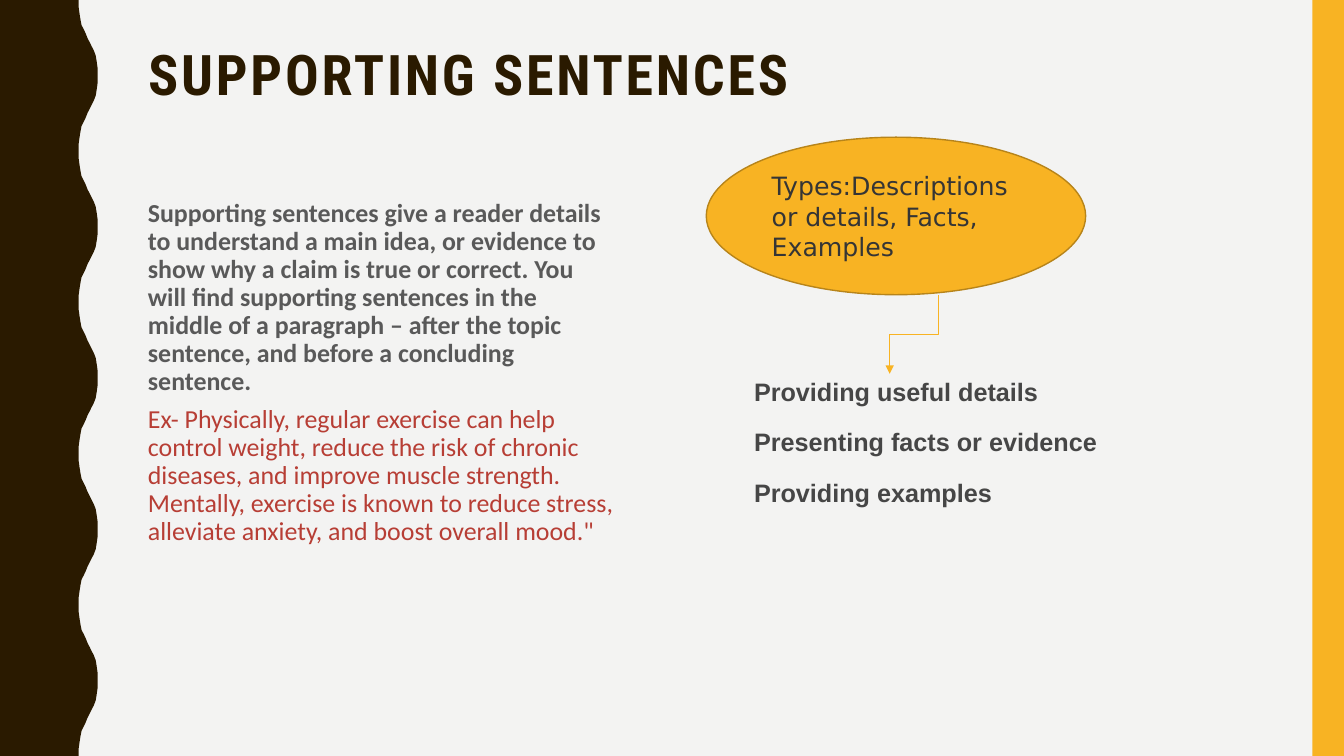
import pptx
import pptx.dml.color
import pptx.enum.shapes
import pptx.enum.text
import pptx.oxml
import pptx.oxml.ns
import pptx.util

Pt = pptx.util.Pt
SHAPES = pptx.enum.shapes.MSO_SHAPE
ANCHOR = pptx.enum.text.MSO_ANCHOR
LEFT = pptx.enum.text.PP_ALIGN.LEFT
WIDTH, HEIGHT = 960, 540
GOLD, BROWN = "F8B323", "2A1A00"
WAVE_PERIOD = 108
HALF_WAVE = [
    (56.2, 0), (56.2, 5), (56.9, 10), (57.6, 14.4), (58.3, 18),
    (59.8, 20.9), (61.2, 23.8), (62.6, 27.4), (64.1, 30.2), (65.5, 33.1),
    (67, 36), (68.4, 39.6), (69.1, 43.9), (69.8, 49), (69.8, 54),
]
EXPLANATION = (
    "Supporting sentences give a reader details to understand a main idea, "
    "or evidence to show why a claim is true or correct. You will find "
    "supporting sentences in the middle of a paragraph – after the topic "
    "sentence, and before a concluding sentence."
)
EXAMPLE = (
    "Ex- Physically, regular exercise can help control weight, reduce the risk "
    "of chronic diseases, and improve muscle strength. Mentally, exercise is "
    "known to reduce stress, alleviate anxiety, and boost overall mood.\""
)
PURPOSES = [
    ("Providing useful details", 262),
    ("Presenting facts or evidence", 262),
    ("Providing examples", 187),
]


def color(value):
    """Return the colour for a hex string."""
    return pptx.dml.color.RGBColor.from_string(value)


def paint(shape, fill, line=None):
    """Give a shape a flat fill and an optional outline."""
    shape.shadow.inherit = False
    shape.fill.solid()
    shape.fill.fore_color.rgb = color(fill)
    if line:
        shape.line.color.rgb = color(line)
        shape.line.width = Pt(1)
    else:
        shape.line.fill.background()


def add_span(para, text, font, size, ink, bold=False):
    """Add one formatted run to a left-aligned paragraph."""
    para.alignment = LEFT
    span = para.add_run()
    span.text = text
    span.font.name = font
    span.font.size = Pt(size)
    span.font.bold = bold
    span.font.color.rgb = color(ink)
    return span


def add_text_box(page, left, top, width, height):
    """Add a wrapping text box and return its text frame."""
    box = page.shapes.add_textbox(Pt(left), Pt(top), Pt(width), Pt(height))
    box.text_frame.word_wrap = True
    return box.text_frame


def add_wavy_edge(page, left, top, height):
    """Draw the dark band whose right side repeats one wave."""
    mirrored = [(x, WAVE_PERIOD - y) for x, y in reversed(HALF_WAVE[1:-1])]
    wave = HALF_WAVE + mirrored
    points = [
        (left + x, top + start + y)
        for start in range(0, height, WAVE_PERIOD)
        for x, y in wave
    ]
    points += [(left + HALF_WAVE[0][0], top + height), (left, top + height)]
    builder = page.shapes.build_freeform(Pt(left), Pt(top), scale=1.0)
    builder.add_line_segments([(Pt(x), Pt(y)) for x, y in points], close=True)
    paint(builder.convert_to_shape(), BROWN)


def add_side_bar(page, left, top, width, height):
    """Draw the gold bar on the right."""
    bar = page.shapes.add_shape(
        SHAPES.RECTANGLE, Pt(left), Pt(top), Pt(width), Pt(height))
    paint(bar, GOLD)


def add_title(page, left, top, width, height):
    """Place and format the title placeholder."""
    title = page.shapes.title
    title.left, title.top = Pt(left), Pt(top)
    title.width, title.height = Pt(width), Pt(height)
    frame = title.text_frame
    frame.word_wrap = True
    frame.auto_size = pptx.enum.text.MSO_AUTO_SIZE.NONE
    frame.vertical_anchor = ANCHOR.TOP
    para = frame.paragraphs[0]
    para.line_spacing = 0.9
    span = add_span(
        para, "SUPPORTING SENTENCES", "Roboto Condensed", 40, BROWN, True)
    span.font._element.set("spc", "200")


def add_body(page, left, top, width, height):
    """Write the explanation and its example."""
    frame = add_text_box(page, left, top, width, height)
    explanation = frame.paragraphs[0]
    example = frame.add_paragraph()
    example.space_before = Pt(7)
    for para, text, ink, bold in (
            (explanation, EXPLANATION, "595959", True),
            (example, EXAMPLE, "B73E35", False)):
        para.line_spacing = 0.9
        add_span(para, text, "Calibri", 18.5, ink, bold)


def add_arrow(page, left, top, width, height):
    """Draw the elbow arrow that runs down and to the left."""
    middle_x, middle_y = left + width / 2, top + height / 2
    arrow = page.shapes.add_connector(
        pptx.enum.shapes.MSO_CONNECTOR.ELBOW,
        Pt(middle_x - height / 2), Pt(middle_y - width / 2),
        Pt(middle_x + height / 2), Pt(middle_y + width / 2))
    arrow.line.color.rgb = color(GOLD)
    arrow.line.width = Pt(0.5)
    properties = arrow._element.spPr
    properties.find(pptx.oxml.ns.qn("a:xfrm")).set("rot", "5400000")
    namespace = pptx.oxml.ns.nsdecls("a")
    line = properties.find(pptx.oxml.ns.qn("a:ln"))
    line.append(pptx.oxml.parse_xml(f'<a:tailEnd {namespace} type="triangle"/>'))
    properties.append(pptx.oxml.parse_xml(f"<a:effectLst {namespace}/>"))


def add_types(page, left, top):
    """Draw the oval of types, its arrow and the list of purposes."""
    oval = page.shapes.add_shape(
        SHAPES.OVAL, Pt(left), Pt(top), Pt(271), Pt(112.5))
    paint(oval, GOLD, "B7841A")
    frame = oval.text_frame
    frame.word_wrap = True
    frame.vertical_anchor = ANCHOR.MIDDLE
    add_span(frame.paragraphs[0], "Types:Descriptions or details, Facts, Examples",
             "DejaVu Sans", 18, "353535")
    for row, (text, width) in enumerate(PURPOSES):
        purpose = add_text_box(page, left + 27, top + 167 + 36.2 * row, width, 29)
        add_span(purpose.paragraphs[0], text, "Arial", 18, "464646", True)
    add_arrow(page, left + 131, top + 113, 34.5, 56)


def main():
    """Build and save the slide."""
    deck = pptx.Presentation()
    deck.slide_width, deck.slide_height = Pt(WIDTH), Pt(HEIGHT)
    page = deck.slides.add_slide(deck.slide_layouts.get_by_name("Title Only"))
    page.background.fill.solid()
    page.background.fill.fore_color.rgb = color("F3F3F2")
    add_wavy_edge(page, 0, 0, HEIGHT)
    add_side_bar(page, WIDTH - 22.5, 0, 22.5, HEIGHT)
    add_title(page, 98.6, 30.2, 801.4, 117.4)
    add_body(page, 98.6, 139.7, 348.5, 309.6)
    add_types(page, 504.5, 98)
    deck.save("out.pptx")


if __name__ == "__main__":
    main()
